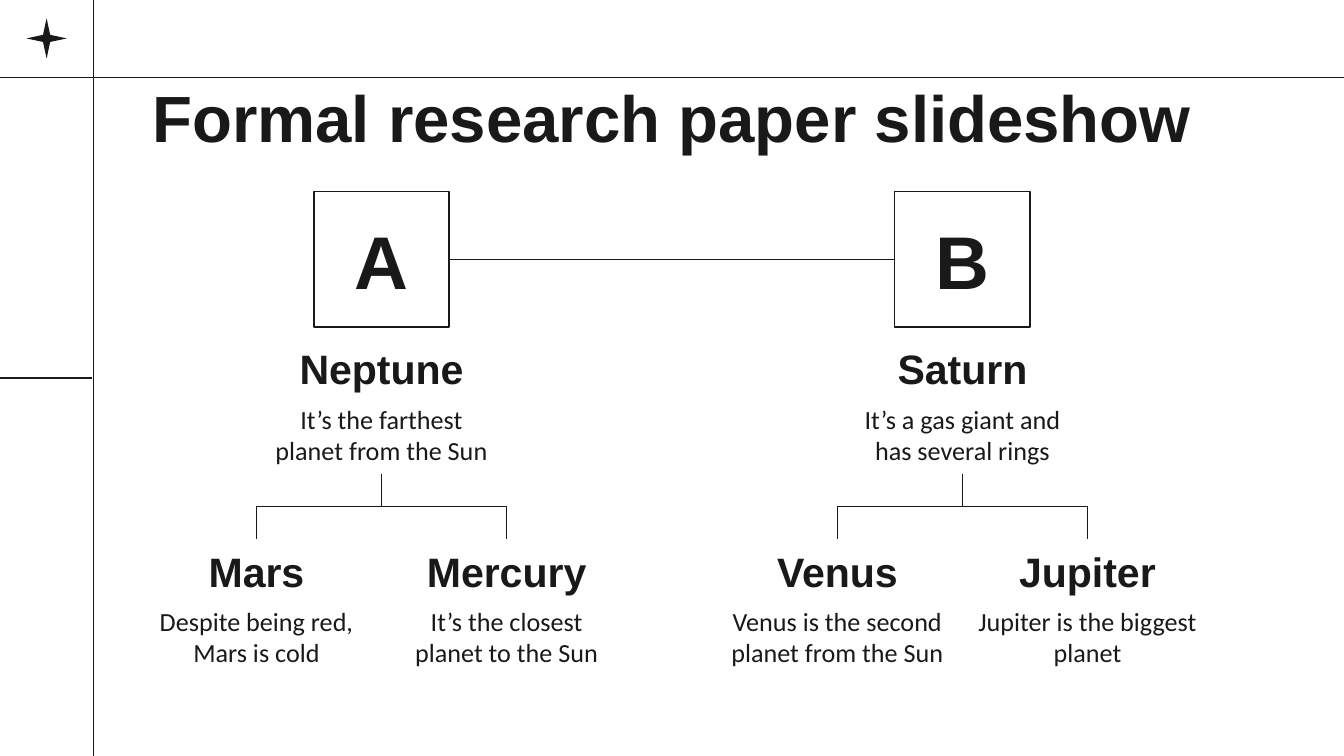
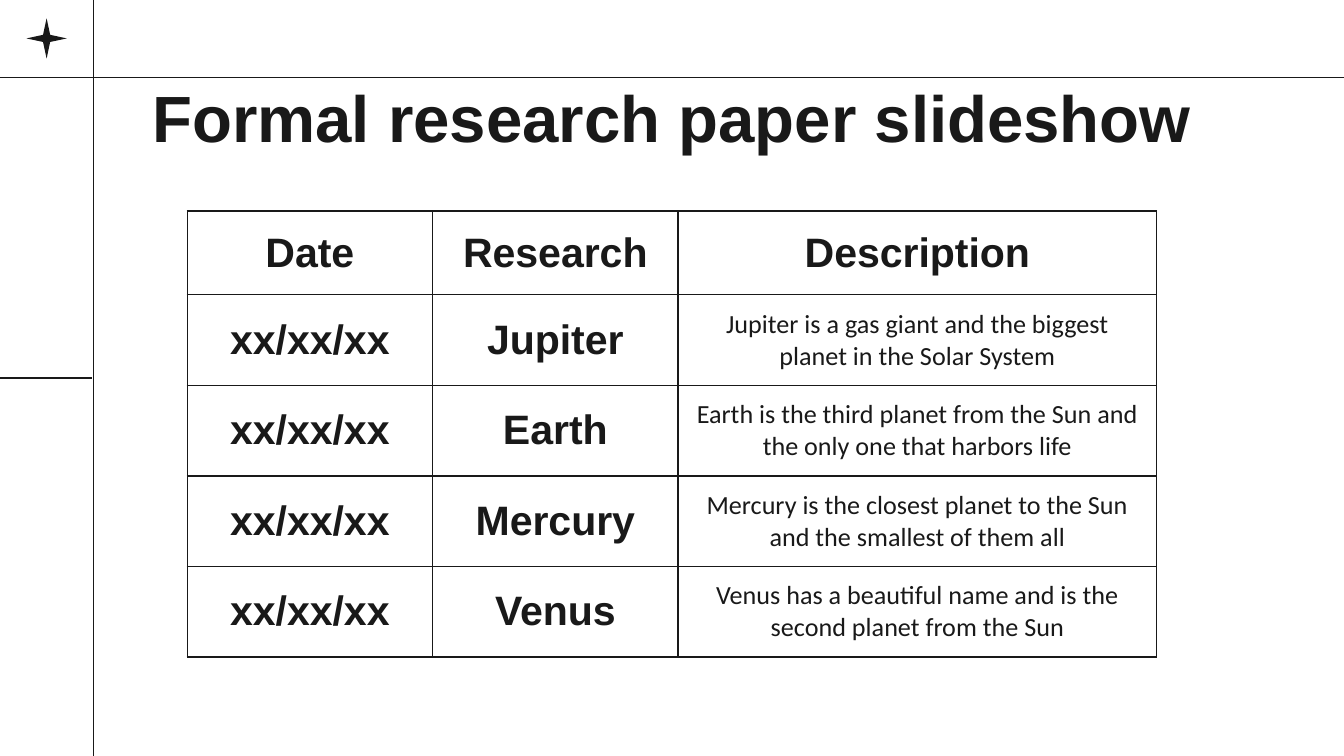
from dataclasses import dataclass

import pptx
import pptx.dml.color
import pptx.enum.shapes
import pptx.enum.text
import pptx.oxml
import pptx.oxml.ns
import pptx.presentation
import pptx.shapes.autoshape
import pptx.shapes.connector
import pptx.shapes.shapetree
import pptx.slide
import pptx.table
import pptx.text.text
import pptx.util

Pt = pptx.util.Pt
Shapes = pptx.shapes.shapetree._BaseGroupShapes
Connector = pptx.shapes.connector.Connector
Anchor = pptx.enum.text.MSO_ANCHOR
Preset = pptx.enum.shapes.MSO_SHAPE
Route = pptx.enum.shapes.MSO_CONNECTOR

# Shared style
INK = pptx.dml.color.RGBColor(0x19, 0x19, 0x19)
PAPER = pptx.dml.color.RGBColor(0xFF, 0xFF, 0xFF)
HEADING_FONT, BODY_FONT = "Arial", "Calibri"
TITLE_SIZE, LETTER_SIZE, HEADING_SIZE, BODY_SIZE = 35, 40, 22, 14
LINE_WIDTH = 0.75
INSET = 7.2
SLIDE_WIDTH, SLIDE_HEIGHT = 720, 405
TITLE = "Formal research paper slideshow"

# Diagram geometry
SQUARE_SIZE, SQUARE_TOP = 72.5, 102.75
CARD_WIDTH, HEADING_HEIGHT, BODY_HEIGHT = 134, 37.4, 45
BODY_OFFSET = 28.5
PARENT_TOP, CHILD_TOP = 180.2, 288.7
PARENT_BOTTOM = PARENT_TOP + BODY_OFFSET + BODY_HEIGHT

# Table geometry
TABLE_LEFT, TABLE_TOP, ROW_HEIGHT = 100.25, 113, 45
COLUMN_WIDTHS = (131.5, 131.5, 121, 135.5)


@dataclass(frozen=True)
class Planet:
    name: str
    fact: str


@dataclass(frozen=True)
class Branch:
    letter: str
    center: float
    parent: Planet
    children: tuple[Planet, Planet]


BRANCHES = (
    Branch("A", 204.4, Planet("Neptune", "It’s the farthest planet from the Sun"), (
        Planet("Mars", "Despite being red, Mars is cold"),
        Planet("Mercury", "It’s the closest planet to the Sun"))),
    Branch("B", 515.6, Planet("Saturn", "It’s a gas giant and has several rings"), (
        Planet("Venus", "Venus is the second planet from the Sun"),
        Planet("Jupiter", "Jupiter is the biggest planet"))),
)

RESEARCH = (
    Planet("Jupiter", "Jupiter is a gas giant and the biggest planet in the Solar System"),
    Planet("Earth", "Earth is the third planet from the Sun and the only one that harbors life"),
    Planet("Mercury", "Mercury is the closest planet to the Sun and the smallest of them all"),
    Planet("Venus", "Venus has a beautiful name and is the second planet from the Sun"),
)


def write(frame: pptx.text.text.TextFrame, text: str, *, size: float = HEADING_SIZE,
          font: str = HEADING_FONT, bold: bool = True) -> None:
    """Fill a text frame with one centred, formatted paragraph."""
    paragraph = frame.paragraphs[0]
    paragraph.alignment = pptx.enum.text.PP_ALIGN.CENTER
    run = paragraph.add_run()
    run.text = text
    run.font.size, run.font.name, run.font.bold = Pt(size), font, bold
    run.font.color.rgb = INK


def prepare(frame: pptx.text.text.TextFrame, anchor: Anchor) -> None:
    frame.word_wrap = True
    frame.auto_size = pptx.enum.text.MSO_AUTO_SIZE.NONE
    frame.vertical_anchor = anchor
    frame.margin_left = frame.margin_right = Pt(INSET)
    frame.margin_top = frame.margin_bottom = Pt(INSET)


def add_line(shapes: Shapes, x1: float, y1: float, x2: float, y2: float,
             route: Route = Route.STRAIGHT) -> Connector:
    line = shapes.add_connector(route, Pt(x1), Pt(y1), Pt(x2), Pt(y2))
    line.line.color.rgb = INK
    line.line.width = Pt(LINE_WIDTH)
    line.element.spPr.append(pptx.oxml.parse_xml(
        f"<a:effectLst {pptx.oxml.ns.nsdecls('a')}/>"))
    return line


def add_fork_arm(shapes: Shapes, x1: float, y1: float, x2: float, y2: float) -> None:
    """Draw an elbow that leaves downwards: a horizontal elbow turned a quarter."""
    middle_x, middle_y = (x1 + x2) / 2, (y1 + y2) / 2
    half_drop, half_span = (y2 - y1) / 2, abs(x2 - x1) / 2
    to_left = x2 < x1
    start = -half_drop if to_left else half_drop
    arm = add_line(shapes, middle_x + start, middle_y - half_span,
                   middle_x - start, middle_y + half_span, Route.ELBOW)
    frame = arm.element.spPr.find(pptx.oxml.ns.qn("a:xfrm"))
    frame.set("rot", str((90 if to_left else 270) * 60000))


def add_card(shapes: Shapes, planet: Planet, center: float, top: float) -> None:
    group = shapes.add_group_shape().shapes
    left = Pt(center - CARD_WIDTH / 2)
    heading = group.add_textbox(left, Pt(top), Pt(CARD_WIDTH), Pt(HEADING_HEIGHT))
    prepare(heading.text_frame, Anchor.BOTTOM)
    write(heading.text_frame, planet.name)
    body = group.add_textbox(left, Pt(top + BODY_OFFSET), Pt(CARD_WIDTH), Pt(BODY_HEIGHT))
    prepare(body.text_frame, Anchor.TOP)
    write(body.text_frame, planet.fact, size=BODY_SIZE, font=BODY_FONT, bold=False)


def add_letter_square(shapes: Shapes, branch: Branch) -> pptx.shapes.autoshape.Shape:
    square = shapes.add_shape(Preset.RECTANGLE, Pt(branch.center - SQUARE_SIZE / 2),
                              Pt(SQUARE_TOP), Pt(SQUARE_SIZE), Pt(SQUARE_SIZE))
    square.shadow.inherit = False
    square.fill.background()
    square.line.color.rgb = INK
    square.line.width = Pt(LINE_WIDTH)
    prepare(square.text_frame, Anchor.MIDDLE)
    write(square.text_frame, branch.letter, size=LETTER_SIZE)
    return square


def add_titled_slide(deck: pptx.presentation.Presentation) -> pptx.slide.Slide:
    slide = deck.slides.add_slide(deck.slide_layouts[5])
    slide.background.fill.solid()
    slide.background.fill.fore_color.rgb = PAPER

    # Frame lines and star
    frame = slide.shapes.add_group_shape().shapes
    add_line(frame, -1.5, 202.5, 49.2, 202.5)
    add_line(frame, -3, 41.6, 723, 41.6)
    add_line(frame, 50.2, -2, 50.2, 407.5)
    star = slide.shapes.add_shape(Preset.STAR_4_POINT, Pt(14.2), Pt(9.8), Pt(21.6), Pt(21.6))
    star.adjustments[0] = 0.125
    star.shadow.inherit = False
    star.fill.solid()
    star.fill.fore_color.rgb = INK
    star.line.fill.background()

    # Title
    title = slide.shapes.title
    title.left, title.top, title.width, title.height = Pt(56.6), Pt(41.6), Pt(607), Pt(49)
    prepare(title.text_frame, Anchor.BOTTOM)
    write(title.text_frame, TITLE, size=TITLE_SIZE)
    return slide


def build_diagram(slide: pptx.slide.Slide) -> None:
    shapes = slide.shapes
    squares = []
    for branch in BRANCHES:
        squares.append(add_letter_square(shapes, branch))
        add_card(shapes, branch.parent, branch.center, PARENT_TOP)
        for side, child in zip((-1, 1), branch.children):
            child_center = branch.center + side * CARD_WIDTH / 2
            add_fork_arm(shapes, branch.center, PARENT_BOTTOM, child_center, CHILD_TOP)
            add_card(shapes, child, child_center, CHILD_TOP)

    # Link between the two letters
    middle = SQUARE_TOP + SQUARE_SIZE / 2
    link = add_line(shapes, BRANCHES[0].center, middle, BRANCHES[1].center, middle)
    link.begin_connect(squares[0], 3)
    link.end_connect(squares[1], 1)


def format_cell(cell: pptx.table._Cell) -> None:
    cell.fill.background()
    cell.vertical_anchor = Anchor.MIDDLE
    cell.margin_left = cell.margin_right = Pt(INSET)
    cell.margin_top = cell.margin_bottom = Pt(INSET)
    properties = cell._tc.get_or_add_tcPr()
    for index, side in enumerate("LRTB"):
        properties.insert(index, pptx.oxml.parse_xml(
            f'<a:ln{side} {pptx.oxml.ns.nsdecls("a")} w="{Pt(LINE_WIDTH)}">'
            f'<a:solidFill><a:srgbClr val="{INK}"/></a:solidFill></a:ln{side}>'))


def build_table(slide: pptx.slide.Slide) -> None:
    row_count = len(RESEARCH) + 1
    table = slide.shapes.add_table(
        row_count, len(COLUMN_WIDTHS), Pt(TABLE_LEFT), Pt(TABLE_TOP),
        Pt(sum(COLUMN_WIDTHS)), Pt(ROW_HEIGHT * row_count)).table
    table.first_row = table.horz_banding = False
    for column, width in zip(table.columns, COLUMN_WIDTHS):
        column.width = Pt(width)
    for cell in table.iter_cells():
        format_cell(cell)

    # Header and rows; the description spans the last two columns
    rows = [("Date", "Research", "Description")]
    rows += [("xx/xx/xx", planet.name, planet.fact) for planet in RESEARCH]
    for r, texts in enumerate(rows):
        table.cell(r, 2).merge(table.cell(r, 3))
        for c, text in enumerate(texts):
            is_fact = r > 0 and c == 2
            style = dict(size=BODY_SIZE, font=BODY_FONT, bold=False) if is_fact else {}
            write(table.cell(r, c).text_frame, text, **style)


def main() -> None:
    deck = pptx.Presentation()
    deck.slide_width, deck.slide_height = Pt(SLIDE_WIDTH), Pt(SLIDE_HEIGHT)
    build_diagram(add_titled_slide(deck))
    build_table(add_titled_slide(deck))
    deck.save("out.pptx")


if __name__ == "__main__":
    main()
